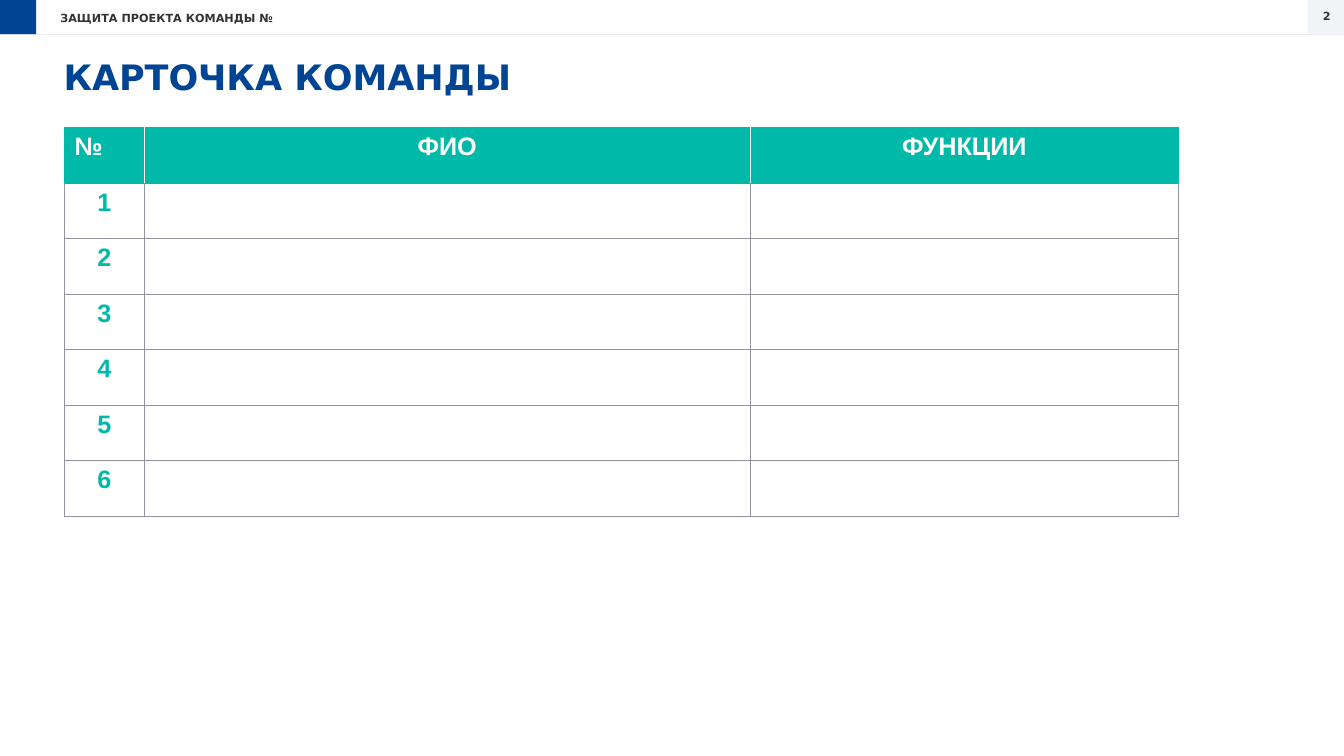
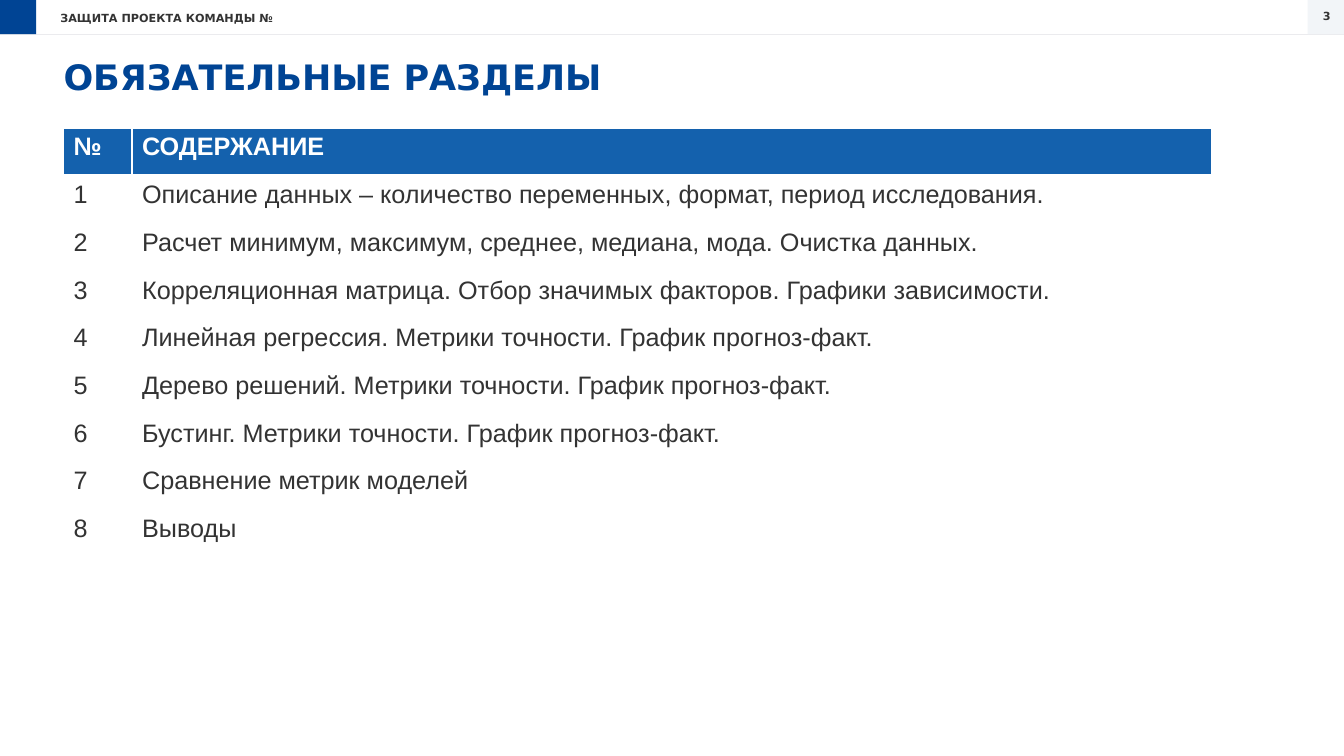
from lxml.etree import SubElement
from pptx import Presentation
from pptx.dml.color import RGBColor
from pptx.enum.shapes import MSO_CONNECTOR, MSO_SHAPE
from pptx.enum.text import MSO_ANCHOR, PP_ALIGN as AL
from pptx.oxml.ns import qn
from pptx.util import Inches, Pt

BLUE, TEAL, HEAD_BLUE = "004494", "01B9A9", "1461AD"
WHITE, DARK, GRID, RULE, PALE = "FFFFFF", "333333", "90939B", "EBEBEE", "F2F5F8"


def rgb(value):
    """Turn a hex string into a colour."""
    return RGBColor.from_string(value)


class Deck:
    """Holds the style and the current slide."""

    TITLE_FONT, BODY_FONT = "DejaVu Sans", "Arial"
    HEADER = "ЗАЩИТА ПРОЕКТА КОМАНДЫ №"
    BAND = 0.34

    def __init__(self, first_number):
        """Open an empty widescreen presentation."""
        self.prs = Presentation()
        self.prs.slide_width, self.prs.slide_height = Inches(13.33), Inches(7.5)
        self.number = first_number

    def style(self, p, size, color, bold=True, font=TITLE_FONT, align=AL.LEFT):
        """Format one paragraph."""
        p.alignment = align
        f = p.font
        f.name, f.size, f.bold = font, Pt(size), bold
        f.color.rgb = rgb(color)

    def slide(self, title):
        """Start a slide with the header band and its title."""
        self.s = self.prs.slides.add_slide(self.prs.slide_layouts[5])
        self.line(0, self.BAND, 13.33, self.BAND, RULE)
        self.rect(0, 0, 0.36, self.BAND, BLUE)
        self.rect(12.97, 0, 0.36, self.BAND, PALE)
        self.text(12.93, 0.04, 0.46, 0.24, str(self.number), AL.CENTER)
        self.text(0.5, 0.06, 3.24, 0.33, self.HEADER)
        self.title(title)
        self.number += 1

    def title(self, text):
        """Place and format the title placeholder."""
        sp = self.s.shapes.title
        sp.left, sp.top, sp.width, sp.height = map(Inches, (0.63, 0.55, 12.07, 0.62))
        tf = sp.text_frame
        tf.margin_left = tf.margin_right = tf.margin_top = tf.margin_bottom = 0
        tf.vertical_anchor = MSO_ANCHOR.TOP
        tf.text = text
        self.style(tf.paragraphs[0], 25, BLUE)

    def rect(self, x, y, w, h, color):
        """Draw a plain filled rectangle."""
        sp = self.s.shapes.add_shape(MSO_SHAPE.RECTANGLE, *map(Inches, (x, y, w, h)))
        sp.shadow.inherit = False
        sp.fill.solid()
        sp.fill.fore_color.rgb = rgb(color)
        sp.line.fill.background()

    def line(self, x1, y1, x2, y2, color):
        """Draw a thin straight line."""
        ends = map(Inches, (x1, y1, x2, y2))
        sp = self.s.shapes.add_connector(MSO_CONNECTOR.STRAIGHT, *ends)
        sp.line.color.rgb = rgb(color)
        sp.line.width = Pt(0.75)
        SubElement(sp._element.spPr, qn("a:effectLst"))

    def text(self, x, y, w, h, text, align=AL.LEFT):
        """Write a small bold label for the header band."""
        tf = self.s.shapes.add_textbox(*map(Inches, (x, y, w, h))).text_frame
        tf.word_wrap = True
        tf.text = text
        self.style(tf.paragraphs[0], 8, DARK, align=align)

    def borders(self, cell, **sides):
        """Set cell borders, each side given as (colour, points)."""
        tc_pr = cell._tc.get_or_add_tcPr()
        for side in "LRTB":
            color, width = sides[side]
            ln = SubElement(tc_pr, qn(f"a:ln{side}"), w=str(Pt(width)))
            fill = SubElement(ln, qn("a:solidFill"))
            SubElement(fill, qn("a:srgbClr"), val=color)

    def table(self, x, y, widths, row_h, rows, head, grid, edge, under,
              head_aligns, number_style):
        """Add a table with a filled head row and unfilled body rows."""
        n_rows, n_cols = len(rows), len(widths)
        size = map(Inches, (x, y, sum(widths), row_h * n_rows))
        tbl = self.s.shapes.add_table(n_rows, n_cols, *size).table
        tbl.first_row = tbl.horz_banding = False
        for col, w in zip(tbl.columns, widths):
            col.width = Inches(w)
        for i, values in enumerate(rows):
            tbl.rows[i].height = Inches(row_h)
            for j, value in enumerate(values):
                cell = tbl.cell(i, j)
                p = cell.text_frame.paragraphs[0]
                p.text = value
                if i == 0:
                    self.borders(cell, T=edge, B=under,
                                 L=edge if j == 0 else (WHITE, 1),
                                 R=edge if j == n_cols - 1 else (WHITE, 1))
                    cell.fill.solid()
                    cell.fill.fore_color.rgb = rgb(head)
                    look = dict(color=WHITE, align=head_aligns[j])
                else:
                    self.borders(cell, L=grid, R=grid, B=grid,
                                 T=under if i == 1 else grid)
                    cell.fill.background()
                    look = number_style if j == 0 else dict(color=DARK, bold=False)
                self.style(p, 18, font=self.BODY_FONT, **look)


def main():
    """Build both slides."""
    deck = Deck(first_number=2)

    deck.slide("КАРТОЧКА КОМАНДЫ")
    members = [(str(n), "", "") for n in range(1, 7)]
    deck.table(0.64, 1.27, (0.79, 6.01, 4.25), 0.55,
               [("№", "ФИО", "ФУНКЦИИ"), *members],
               head=TEAL, grid=(GRID, 1), edge=(TEAL, 1), under=(TEAL, 1),
               head_aligns=(AL.LEFT, AL.CENTER, AL.CENTER),
               number_style=dict(color=TEAL, align=AL.CENTER))

    deck.slide("ОБЯЗАТЕЛЬНЫЕ РАЗДЕЛЫ")
    sections = [
        "Описание данных – количество переменных, формат, период исследования.",
        "Расчет минимум, максимум, среднее, медиана, мода. Очистка данных.",
        "Корреляционная матрица. Отбор значимых факторов. Графики зависимости.",
        "Линейная регрессия. Метрики точности. График прогноз-факт.",
        "Дерево решений. Метрики точности. График прогноз-факт.",
        "Бустинг. Метрики точности. График прогноз-факт.",
        "Сравнение метрик моделей",
        "Выводы",
    ]
    numbered = [(str(n), text) for n, text in enumerate(sections, 1)]
    deck.table(0.63, 1.27, (0.68, 10.71), 4.26 / 9,
               [("№", "СОДЕРЖАНИЕ"), *numbered],
               head=HEAD_BLUE, grid=(WHITE, 1), edge=(WHITE, 1), under=(WHITE, 3),
               head_aligns=(AL.LEFT, AL.LEFT),
               number_style=dict(color=DARK, bold=False))

    deck.prs.save("out.pptx")


if __name__ == "__main__":
    main()
